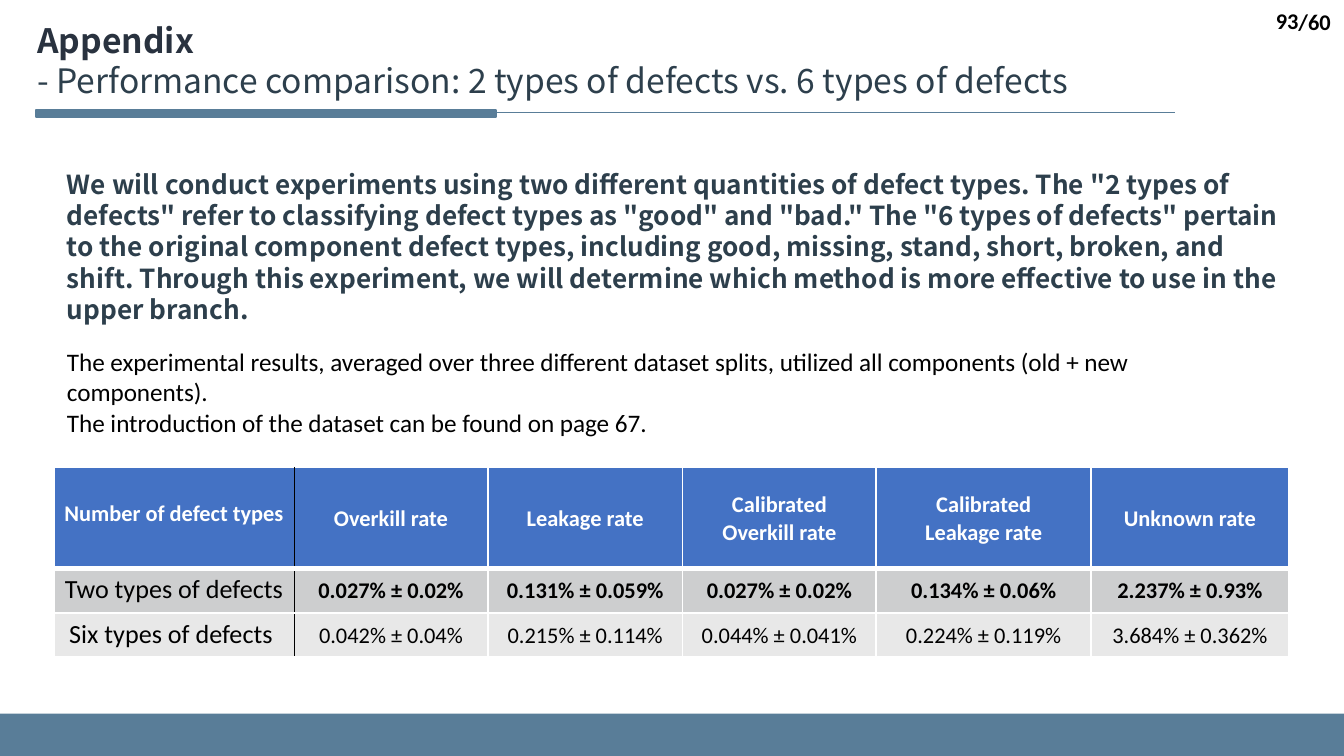
"""Build the appendix slide comparing two and six defect types."""
from lxml.etree import SubElement
from pptx import Presentation
from pptx.dml.color import RGBColor
from pptx.enum.shapes import MSO_CONNECTOR, MSO_SHAPE
from pptx.enum.text import MSO_ANCHOR, PP_ALIGN
from pptx.oxml.ns import qn
from pptx.util import Inches, Pt

SANS, CJK = "Calibri", "Noto Sans CJK SC"
STEEL, SLATE, BLACK, WHITE = "597D98", "2D3F4C", "000000", "FFFFFF"


def paint(fill, color):
    fill.solid()
    fill.fore_color.rgb = RGBColor.from_string(color)


def add_run(p, text, size, color, bold=False, font=SANS):
    r = p.add_run()
    r.text = text
    r.font.size, r.font.bold, r.font.name = Pt(size), bold, font
    paint(r.font.fill, color)


prs = Presentation()
prs.slide_width = Inches(10)
prs.slide_height = prs.slide_width * 9 // 16
U = prs.slide_width // 1000
s = prs.slides.add_slide(prs.slide_layouts[6])

rule = s.shapes.add_connector(MSO_CONNECTOR.STRAIGHT, 874 * U, 84 * U, 27 * U, 84 * U)
paint(rule.line.fill, STEEL)
rule.line.width = Pt(0.5)
SubElement(rule._element.spPr, qn("a:effectLst"))

for x, y, w, h, outlined in [(0, 531, 1000, 31.5, False), (27, 82, 342, 5, True)]:
    sp = s.shapes.add_shape(MSO_SHAPE.RECTANGLE, x * U, y * U, w * U, int(h * U))
    sp.shadow.inherit = False
    paint(sp.fill, STEEL)
    if outlined:
        paint(sp.line.fill, STEEL)
        sp.line.width = Pt(1)
    else:
        sp.line.fill.background()

header = ["Number of defect types ", "Overkill rate", "Leakage rate",
          "Calibrated\nOverkill rate", "Calibrated\nLeakage rate", "Unknown rate"]
two = ["Two types of defects ", "0.027% ± 0.02%", "0.131% ± 0.059%",
       "0.027% ± 0.02%", "0.134% ± 0.06%", "2.237% ± 0.93%"]
six = ["Six types of defects ", "0.042% ± 0.04%", "0.215% ± 0.114%",
       "0.044% ± 0.041%", "0.224% ± 0.119%", "3.684% ± 0.362%"]
rows = [(header, 75, "4472C4", WHITE, True),
        (two, 33, "CDCECF", BLACK, True),
        (six, 33, "E8E8E8", BLACK, False)]
widths = [179, 144, 145, 144, 160, 147]

table = s.shapes.add_table(len(rows), len(widths), 40 * U, 348 * U,
                           sum(widths) * U, 141 * U).table
for column, w in zip(table.columns, widths):
    column.width = w * U
for i, (texts, height, fill, color, bold) in enumerate(rows):
    table.rows[i].height = height * U
    for j, text in enumerate(texts):
        cell = table.cell(i, j)
        label = j == 0
        borders = [("L", BLACK if j == 1 else WHITE, 1),
                   ("R", BLACK if label else WHITE, 1),
                   ("T", WHITE, 3 if i == 1 else 1),
                   ("B", WHITE, 3 if i == 0 else 1)]
        for side, hue, width in borders:
            ln = SubElement(cell._tc.get_or_add_tcPr(), qn(f"a:ln{side}"), w=str(Pt(width)))
            SubElement(SubElement(ln, qn("a:solidFill")), qn("a:srgbClr"), val=hue)
        paint(cell.fill, fill)
        cell.vertical_anchor = MSO_ANCHOR.TOP if label else MSO_ANCHOR.MIDDLE
        cell.margin_left = cell.margin_right = (7 if label else 10) * U
        cell.margin_top = (24 if i == 0 else 4) * U if label else 5 * U
        cell.margin_bottom = 4 * U
        tf = cell.text_frame
        for n, line in enumerate(text.split("\n")):
            p = tf.add_paragraph() if n else tf.paragraphs[0]
            p.alignment = PP_ALIGN.CENTER
            add_run(p, line, 14 if label and i else 12, color, bold and not (label and i))

intro = ('We will conduct experiments using two different quantities of defect types. '
         'The "2 types of defects" refer to classifying defect types as "good" and "bad." '
         'The "6 types of defects" pertain to the original component defect types, including '
         'good, missing, stand, short, broken, and shift. Through this experiment, we will '
         'determine which method is more effective to use in the upper branch.')
results = ["The experimental results, averaged over three different dataset splits, "
           "utilized all components (old + new components).",
           "The introduction of the dataset can be found on page 67."]
title = "- Performance comparison: 2 types of defects vs. 6 types of defects"
boxes = [
    ((18, 10, 830, 71), [[("Appendix", 18, "29323F", True, CJK),
                          (title, 18, SLATE, False, CJK)]], 21.5, False),
    ((40, 253, 913, 56), [[(line, 13.5, BLACK)] for line in results], None, False),
    ((40, 120, 935, 128), [[(intro, 14, SLATE, True, CJK)]], 16.8, False),
    ((954, 1, 46, 30), [[("/60", 12, BLACK, True)]], None, True),
    ((775, 0, 201, 31), [[("93", 12, BLACK, True)]], None, True),
]
for (x, y, w, h), paragraphs, spacing, is_page in boxes:
    tf = s.shapes.add_textbox(x * U, y * U, w * U, h * U).text_frame
    tf.word_wrap = True
    tf.vertical_anchor = MSO_ANCHOR.MIDDLE if is_page else MSO_ANCHOR.TOP
    for n, runs in enumerate(paragraphs):
        p = tf.add_paragraph() if n else tf.paragraphs[0]
        p.alignment = PP_ALIGN.RIGHT if is_page else PP_ALIGN.LEFT
        if spacing:
            p.line_spacing = Pt(spacing)
        for m, run in enumerate(runs):
            if m:
                p.add_line_break()
            add_run(p, *run)

prs.save("out.pptx")
